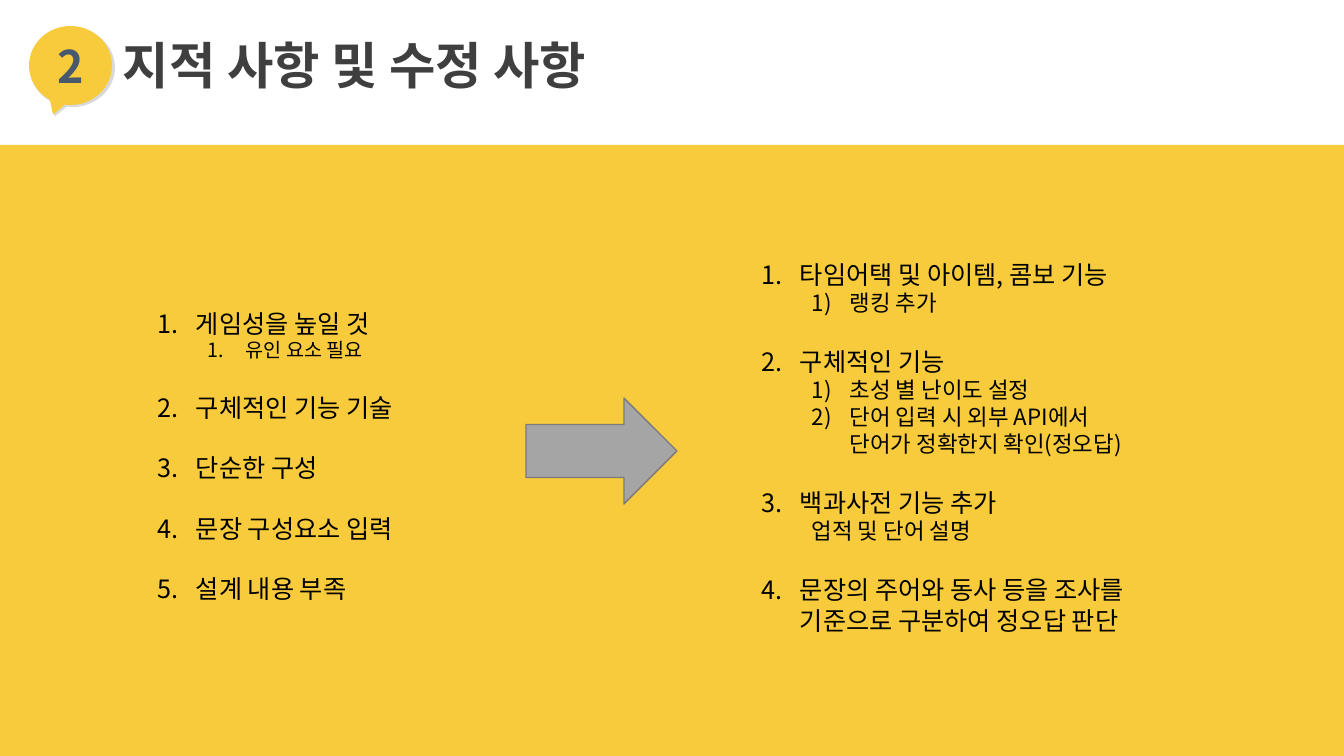
import pptx
import pptx.dml.color
import pptx.enum.shapes
import pptx.enum.text
import pptx.oxml.ns
import pptx.util
from dataclasses import dataclass
from lxml import etree

SLIDE_W, SLIDE_H = 1344, 756
PX = 12192000 / SLIDE_W
SHAPES = pptx.enum.shapes.MSO_SHAPE


@dataclass(frozen=True)
class Theme:
    font: str = "Noto Sans CJK KR"
    yellow: str = "F8CB3C"
    shade: str = "D9D9D9"
    number: str = "48596D"
    title: str = "3F3F3F"
    text: str = "000000"
    arrow: str = "A5A5A5"
    arrow_line: str = "7A7A7A"
    title_size: int = 36
    number_size: int = 32
    item_size: int = 18
    leading: float = 1.2


THEME = Theme()

# Each item: heading, then its sub-lines
ISSUES = [
    ("게임성을 높일 것", ["유인 요소 필요"]),
    ("구체적인 기능 기술", []),
    ("단순한 구성", []),
    ("문장 구성요소 입력", []),
    ("설계 내용 부족", []),
]
FIXES = [
    ("타임어택 및 아이템, 콤보 기능", ["랭킹 추가"]),
    ("구체적인 기능", ["초성 별 난이도 설정",
                 "단어 입력 시 외부 API에서\n단어가 정확한지 확인(정오답)"]),
    ("백과사전 기능 추가", ["업적 및 단어 설명"]),
    ("문장의 주어와 동사 등을 조사를 기준으로 구분하여 정오답 판단", []),
]


def px(n):
    return pptx.util.Emu(round(n * PX))


def rgb(color):
    return pptx.dml.color.RGBColor.from_string(color)


def add_shape(shapes, kind, box, fill, line=None):
    sp = shapes.add_shape(kind, *map(px, box))
    sp.shadow.inherit = False
    sp.fill.solid()
    sp.fill.fore_color.rgb = rgb(fill)
    if line:
        sp.line.color.rgb = rgb(line)
        sp.line.width = pptx.util.Pt(1)
    else:
        sp.line.fill.background()
    return sp


def add_textbox(slide, box, wrap):
    tf = slide.shapes.add_textbox(*map(px, box)).text_frame
    tf.word_wrap = wrap
    return tf


def write(p, text, size, color, bold=False):
    """Fill a paragraph, turning newlines into line breaks."""
    p.line_spacing = pptx.util.Pt(round(size * THEME.leading, 1))
    for i, part in enumerate(text.split("\n")):
        if i:
            p.add_line_break()
        r = p.add_run()
        r.text = part
        r.font.name = THEME.font
        r.font.size = pptx.util.Pt(size)
        r.font.bold = bold
        r.font.color.rgb = rgb(color)
        ea = etree.SubElement(r.font._element, pptx.oxml.ns.qn("a:ea"))
        ea.set("typeface", THEME.font)


def indent(p, left, hanging, numbering=None):
    pPr = p._p.get_or_add_pPr()
    pPr.set("marL", str(px(left)))
    pPr.set("indent", str(-px(hanging)))
    if numbering:
        bu = etree.SubElement(pPr, pptx.oxml.ns.qn("a:buAutoNum"))
        bu.set("type", numbering)


def add_header(slide, box):
    x, y, w, h = box
    group = slide.shapes.add_group_shape()
    bubbles = [((x + 30, y + 28, 85, 79), THEME.shade),
               ((x + 29, y + 26, 83, 79), THEME.yellow)]
    for bubble, fill in bubbles:
        sp = add_shape(group.shapes, SHAPES.OVAL_CALLOUT, bubble, fill)
        sp.adjustments[0], sp.adjustments[1] = -0.21, 0.62
    tf = sp.text_frame
    tf.vertical_anchor = pptx.enum.text.MSO_ANCHOR.MIDDLE
    p = tf.paragraphs[0]
    p.alignment = pptx.enum.text.PP_ALIGN.CENTER
    write(p, "2", THEME.number_size, THEME.number, True)

    tf = add_textbox(slide, (x + 113, y + 29, 549, 72), False)
    write(tf.paragraphs[0], "지적 사항 및 수정 사항", THEME.title_size, THEME.title, True)


def add_outline(slide, box, items, sub_size, sub_numbering, plain=()):
    """Numbered headings with sub-lines; those in plain carry no number."""
    tf = add_textbox(slide, box, True)
    gap = pptx.util.Pt(round(THEME.item_size * THEME.leading, 1))
    for i, (heading, subs) in enumerate(items):
        p = tf.add_paragraph() if i else tf.paragraphs[0]
        if i:
            p.space_before = gap
        write(p, heading, THEME.item_size, THEME.text)
        indent(p, 38, 38, "arabicPeriod")
        for sub in subs:
            p = tf.add_paragraph()
            p.level = 1
            write(p, sub, sub_size, THEME.text)
            if sub in plain:
                indent(p, 50, 0)
            else:
                indent(p, 88, 38, sub_numbering)


def add_body(slide, box):
    x, y, w, h = box
    add_shape(slide.shapes, SHAPES.RECTANGLE, box, THEME.yellow)
    add_outline(slide, (x + 148, y + 158, 333, 308), ISSUES, 14, "arabicPeriod")
    add_outline(slide, (x + 752, y + 109, 440, 390), FIXES, 16, "arabicParenR",
                plain=("업적 및 단어 설명",))
    add_shape(slide.shapes, SHAPES.RIGHT_ARROW, (x + 526, y + 253, 151, 106),
              THEME.arrow, THEME.arrow_line)


def main():
    prs = pptx.Presentation()
    prs.slide_width, prs.slide_height = px(SLIDE_W), px(SLIDE_H)
    slide = prs.slides.add_slide(prs.slide_layouts[6])
    header_h = 145
    add_header(slide, (0, 0, SLIDE_W, header_h))
    add_body(slide, (0, header_h, SLIDE_W, SLIDE_H - header_h))
    prs.save("out.pptx")


if __name__ == "__main__":
    main()
